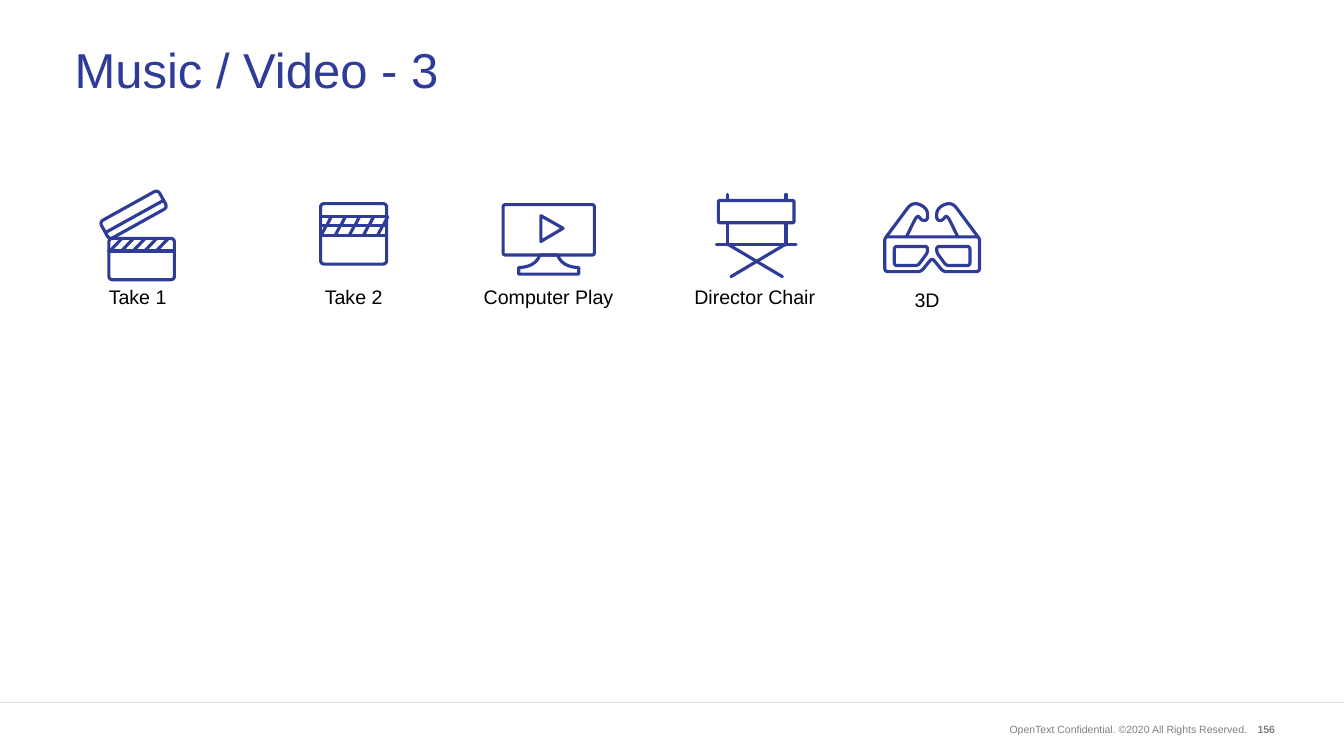
import math
from dataclasses import dataclass

from lxml import etree
from pptx import Presentation
from pptx import util as u
from pptx.dml.color import RGBColor
from pptx.enum import shapes, text
from pptx.oxml.ns import qn
from pptx.slide import Slide

PX = u.Inches(0.01)
SUBPIXELS = 20
CURVE_STEPS = 6
PEN_POINTS = 4.5
FONT = "Arial"
COLORS = {"indigo": "2E3C98", "black": "000000", "gray": "808080", "rule": "D9D9D9"}

Point = tuple[float, float]


@dataclass(frozen=True)
class Stroke:
    points: list[Point]
    closed: bool = False


@dataclass(frozen=True)
class Label:
    wording: str
    left: int
    top: int
    width: int
    height: int
    size: int
    color: str
    align: text.PP_ALIGN = text.PP_ALIGN.CENTER
    anchor: text.MSO_ANCHOR = text.MSO_ANCHOR.TOP
    spacing: float = 1.0
    bold: bool = False


@dataclass(frozen=True)
class Icon:
    caption: str
    caption_left: int
    caption_top: int
    caption_width: int
    strokes: list[Stroke]


def toward(start: Point, end: Point, reach: float) -> Point:
    share = min(0.5, reach / math.dist(start, end))
    return start[0] + (end[0] - start[0]) * share, start[1] + (end[1] - start[1]) * share


def bend(start: Point, corner: Point, end: Point) -> list[Point]:
    ts = [step / CURVE_STEPS for step in range(CURVE_STEPS + 1)]
    return [tuple((1 - t) ** 2 * a + 2 * t * (1 - t) * b + t * t * c
                  for a, b, c in zip(start, corner, end)) for t in ts]


def smooth(corners: list[Point], radius: int, closed: bool = True) -> Stroke:
    points = []
    for i, corner in enumerate(corners):
        if not closed and i in (0, len(corners) - 1):
            points.append(corner)
            continue
        before, after = corners[i - 1], corners[(i + 1) % len(corners)]
        points += bend(toward(corner, before, radius), corner, toward(corner, after, radius))
    return Stroke(points, closed)


def box(left: int, top: int, right: int, bottom: int, radius: int) -> Stroke:
    return smooth([(left, top), (right, top), (right, bottom), (left, bottom)], radius)


def level(left: int, right: int, y: int) -> Stroke:
    return Stroke([(left, y), (right, y)])


def hatch(left: int, bottom: int, top: int, lean: int, step: int) -> list[Stroke]:
    return [Stroke([(left + step * i, bottom), (left + step * i + lean, top)])
            for i in range(5)]


def flip(points: list[Point], axis: float) -> list[Point]:
    return [(2 * axis - x, y) for x, y in reversed(points)]


def both_sides(strokes: list[Stroke], axis: float) -> list[Stroke]:
    return strokes + [Stroke(flip(s.points, axis), s.closed) for s in strokes]


def rotate(stroke: Stroke, center: Point, degrees: float) -> Stroke:
    cos, sin = math.cos(math.radians(degrees)), math.sin(math.radians(degrees))
    cx, cy = center
    return Stroke([(cx + (x - cx) * cos - (y - cy) * sin,
                    cy + (x - cx) * sin + (y - cy) * cos) for x, y in stroke.points],
                  stroke.closed)


def open_clapper() -> list[Stroke]:
    hinge_arm = [box(199, 406, 331, 446, 9), level(199, 331, 430)]
    slate = [box(216, 473, 346, 555, 8), level(216, 346, 498)]
    return slate + hatch(218, 498, 473, 24, 23) + [
        rotate(part, (265, 426), -29) for part in hinge_arm]


def shut_clapper() -> list[Stroke]:
    slate = box(636, 404, 767, 524, 8)
    bands = [level(636, 767, y) for y in (430, 448, 467)]
    return [slate, *bands, *hatch(648, 448, 430, 9, 28), *hatch(637, 467, 448, 10, 28)]


def computer() -> list[Stroke]:
    axis = 1088.5
    screen = box(998, 406, 1179, 506, 5)
    play = Stroke([(1073, 428), (1117, 453), (1073, 479)], closed=True)
    half_stand = bend((1106, 506), (1115, 530), (1148, 531)) + [(1148, 544)]
    return [screen, play, Stroke(half_stand + flip(half_stand, axis), closed=True)]


def director_chair() -> list[Stroke]:
    axis = 1501
    backrest = box(1425, 398, 1575, 442, 3)
    seat = level(1421, 1579, 486)
    post_tip = Stroke([(1443, 386), (1443, 398)])
    post = Stroke([(1443, 442), (1443, 486)])
    leg = Stroke([(1446, 486), (1552, 549)])
    return [backrest, seat, *both_sides([post_tip, post, leg], axis)]


def glasses() -> list[Stroke]:
    axis = 1849
    half_frame = [(1849, 512), (1871, 539), (1943, 539), (1943, 470)]
    frame = smooth(half_frame + flip(half_frame[1:], axis), 7)
    lens = smooth([(1858, 489), (1924, 489), (1924, 527), (1877, 527), (1858, 501)], 6)
    temple = smooth([(1940, 470), (1888, 400), (1859, 412), (1857, 437), (1870, 438),
                     (1878, 425), (1900, 470)], 16, closed=False)
    return [frame, *both_sides([lens, temple], axis)]


ICONS = [
    Icon("Take 1", 78, 565, 390, open_clapper()),
    Icon("Take 2", 492, 565, 419, shut_clapper()),
    Icon("Computer Play", 911, 565, 354, computer()),
    Icon("Director Chair", 1296, 565, 402, director_chair()),
    Icon("3D", 1630, 571, 418, glasses()),
]

LEFT, RIGHT = text.PP_ALIGN.LEFT, text.PP_ALIGN.RIGHT
MIDDLE = text.MSO_ANCHOR.MIDDLE
LABELS = [
    Label("OpenText Confidential. ©2020 All Rights Reserved.", 1947, 1430, 537, 35, 15,
          "gray", RIGHT, MIDDLE),
    Label("156", 2468, 1430, 71, 35, 15, "gray", RIGHT, bold=True),
    Label("Music / Video - 3", 138, 38, 2391, 212, 70, "indigo", LEFT, MIDDLE, 0.9),
]


def color(name: str) -> RGBColor:
    return RGBColor.from_string(COLORS[name])


def draw_label(slide: Slide, label: Label) -> None:
    area = slide.shapes.add_textbox(
        label.left * PX, label.top * PX, label.width * PX, label.height * PX)
    frame = area.text_frame
    frame.word_wrap = True
    frame.vertical_anchor = label.anchor
    line = frame.paragraphs[0]
    line.alignment = label.align
    line.line_spacing = label.spacing
    run = line.add_run()
    run.text = label.wording
    run.font.name = FONT
    run.font.size = u.Pt(label.size)
    run.font.bold = label.bold
    run.font.color.rgb = color(label.color)


def draw_icon(slide: Slide, icon: Icon) -> None:
    pen = slide.shapes.build_freeform(scale=PX / SUBPIXELS)
    for i, stroke in enumerate(icon.strokes):
        start, *rest = [(round(x * SUBPIXELS), round(y * SUBPIXELS)) for x, y in stroke.points]
        if i == 0:
            pen = slide.shapes.build_freeform(*start, scale=PX / SUBPIXELS)
        else:
            pen.move_to(*start)
        pen.add_line_segments(rest, close=stroke.closed)
    drawing = pen.convert_to_shape()
    drawing.shadow.inherit = False
    drawing.fill.background()
    drawing.line.color.rgb = color("indigo")
    drawing.line.width = u.Pt(PEN_POINTS)
    outline = drawing._element.spPr.find(qn("a:ln"))
    outline.set("cap", "rnd")
    etree.SubElement(outline, qn("a:round"))
    draw_label(slide, Label(icon.caption, icon.caption_left, icon.caption_top,
                            icon.caption_width, 54, 28, "black", spacing=0.93))


def draw_footer_rule(slide: Slide) -> None:
    rule = slide.shapes.add_connector(
        shapes.MSO_CONNECTOR.STRAIGHT, 0, 1394 * PX, 2666 * PX, 1394 * PX)
    rule.line.color.rgb = color("rule")
    rule.line.width = u.Pt(1)
    etree.SubElement(rule._element.spPr, qn("a:effectLst"))


def main() -> None:
    deck = Presentation()
    deck.slide_width, deck.slide_height = 2666 * PX, 1500 * PX
    slide = deck.slides.add_slide(deck.slide_layouts[6])
    draw_footer_rule(slide)
    for label in LABELS:
        draw_label(slide, label)
    for icon in ICONS:
        draw_icon(slide, icon)
    deck.save("out.pptx")


if __name__ == "__main__":
    main()
